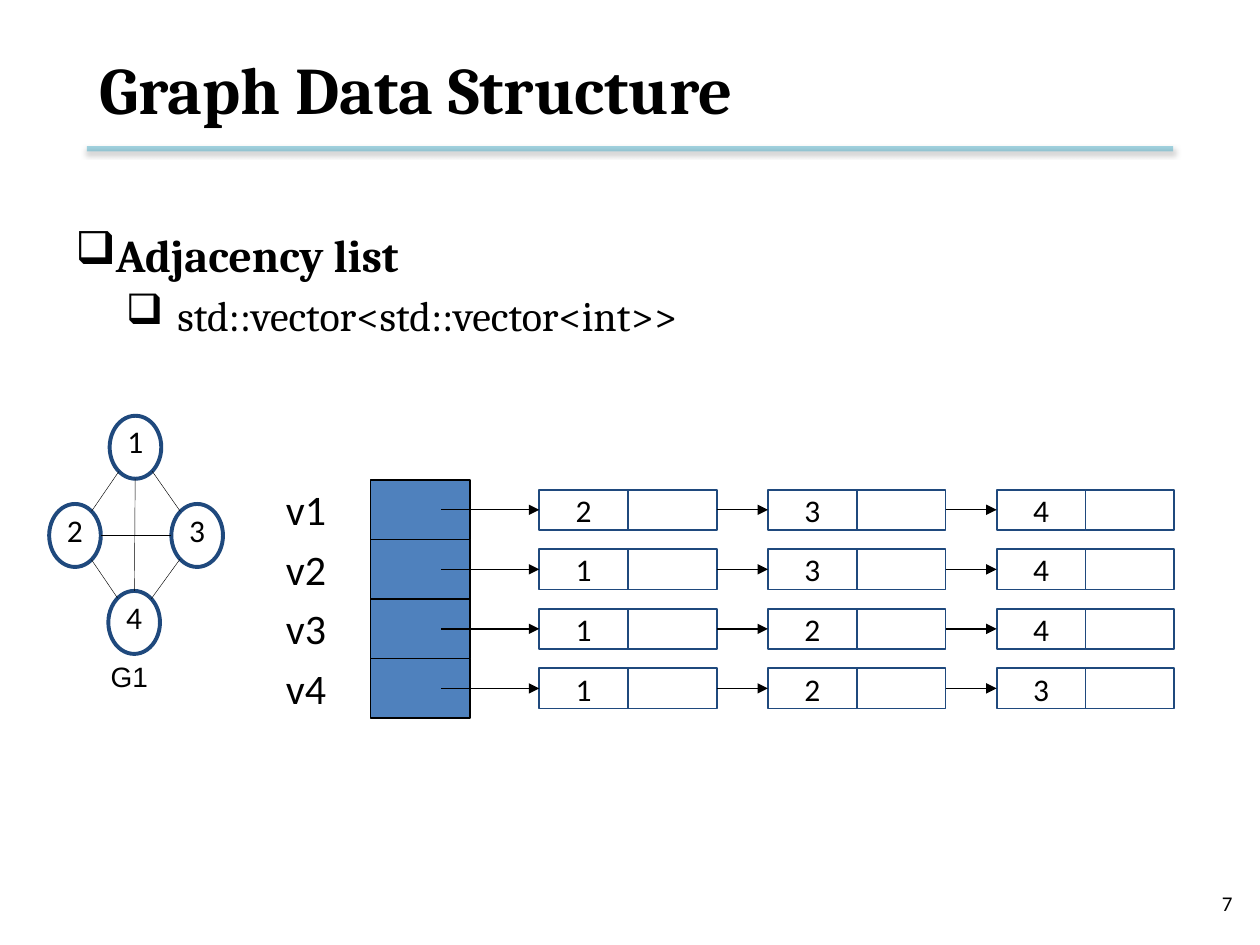
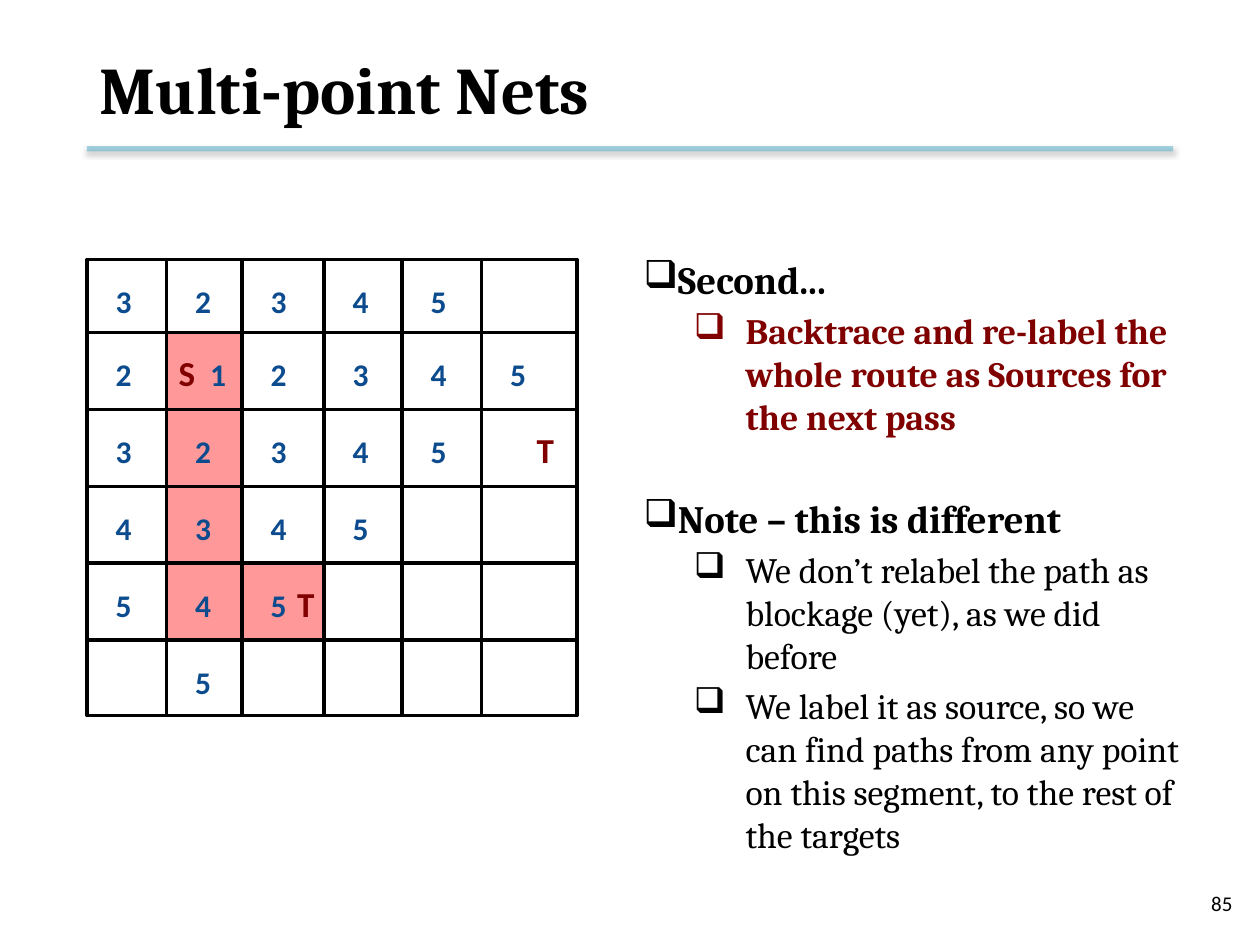
from dataclasses import dataclass
from itertools import combinations
from math import hypot

from lxml import etree
from pptx import Presentation
from pptx import util as u
from pptx.dml import color as dml
from pptx.enum import shapes, text
from pptx.oxml import ns

BLACK, NAVY, SLOT_BLUE = "000000", "1F497D", "4F81BD"
RULE_TEAL, MAROON, ROUTE_PINK, STEP_BLUE = "4BACC6", "800000", "FF9999", "0B4B8E"
HEADING, LABEL = "Cambria", "Calibri"
TOP, MIDDLE = text.MSO_ANCHOR.TOP, text.MSO_ANCHOR.MIDDLE
LEFT, CENTER, RIGHT = text.PP_ALIGN.LEFT, text.PP_ALIGN.CENTER, text.PP_ALIGN.RIGHT
RECT, OVAL = shapes.MSO_SHAPE.RECTANGLE, shapes.MSO_SHAPE.OVAL


@dataclass
class Box:
    """An area on the slide grid of 10 columns by 7.5 rows, one inch each."""
    x: float
    y: float
    w: float
    h: float

    def at(self, x, y, w, h):
        """Return the area that lies at an offset inside this one."""
        return Box(self.x + x, self.y + y, w, h)

    def emu(self):
        """Return left, top, width and height as lengths."""
        return [u.Inches(side) for side in (self.x, self.y, self.w, self.h)]

    def centre(self):
        """Return the middle point."""
        return self.x + self.w / 2, self.y + self.h / 2


PAGE = Box(0, 0, 10, 7.5)


def rgb(value):
    """Turn a hex string into a colour."""
    return dml.RGBColor.from_string(value)


def apply(target, formats):
    """Set each attribute named in a dict of format values."""
    for name, value in formats.items():
        setattr(target, name, value)


def add_node(parent, tag, **attributes):
    """Append a DrawingML element."""
    return etree.SubElement(parent, ns.qn(tag), attributes)


def write(paragraph, words, size, font=LABEL, color=BLACK, bold=False, align=LEFT):
    """Put one formatted run in a paragraph."""
    paragraph.alignment = align
    run = paragraph.add_run()
    run.text = words
    apply(run.font, {"size": u.Pt(size), "name": font, "bold": bold})
    run.font.color.rgb = rgb(color)


def add_label(slide, box, words, size, anchor=TOP, wrap=False, **style):
    """Add a one-line text box."""
    frame = slide.shapes.add_textbox(*box.emu()).text_frame
    apply(frame, {"word_wrap": wrap, "vertical_anchor": anchor})
    write(frame.paragraphs[0], words, size, **style)


def add_block(slide, kind, box, fill=None, line=None, width=1):
    """Add a flat preset shape and return it."""
    block = slide.shapes.add_shape(kind, *box.emu())
    block.shadow.inherit = False
    if fill:
        block.fill.solid()
        block.fill.fore_color.rgb = rgb(fill)
    else:
        block.fill.background()
    if line:
        block.line.color.rgb = rgb(line)
        block.line.width = u.Pt(width)
    else:
        block.line.fill.background()
    return block


def add_line(slide, start, end, width, color=BLACK, arrow=False):
    """Add a straight line and return it with its effect list."""
    ends = [u.Inches(value) for value in (*start, *end)]
    line = slide.shapes.add_connector(shapes.MSO_CONNECTOR.STRAIGHT, *ends)
    line.line.color.rgb = rgb(color)
    line.line.width = u.Pt(width)
    if arrow:
        add_node(line.line._get_or_add_ln(), "a:tailEnd", type="triangle")
    return line, add_node(line._element.spPr, "a:effectLst")


def add_header_rule(slide, box):
    """Draw the translucent rule with its soft shadow."""
    rule, effects = add_line(slide, (box.x, box.y), (box.x + box.w, box.y), 3, RULE_TEAL)
    tint = next(rule._element.spPr.iter(ns.qn("a:srgbClr")))
    add_node(tint, "a:alpha", val="50000")
    shadow = add_node(effects, "a:outerShdw", blurRad="40000", dist="20000",
                      dir="5400000", rotWithShape="0")
    add_node(add_node(shadow, "a:srgbClr", val=BLACK), "a:alpha", val="38000")


def add_page(deck, heading, number):
    """Start a slide with title, rule and page number."""
    slide = deck.slides.add_slide(deck.slide_layouts[5])
    add_header_rule(slide, PAGE.at(0.69, 1.18, 8.62, 0))
    title = slide.shapes.title
    apply(title, dict(zip(("left", "top", "width", "height"),
                          PAGE.at(0.69, 0.17, 8.62, 1.06).emu())))
    apply(title.text_frame, {"vertical_anchor": MIDDLE, "word_wrap": True,
                             "auto_size": text.MSO_AUTO_SIZE.NONE})
    write(title.text_frame.paragraphs[0], heading, 38, HEADING, bold=True)
    add_label(slide, PAGE.at(7.55, 6.97, 2.33, 0.4), str(number), 12, MIDDLE, True, align=RIGHT)
    return slide


def add_outline(slide, box, sizes, items, section_gap=0):
    """Write two-level bullets from (level, words, style) items."""
    frame = slide.shapes.add_textbox(*box.emu()).text_frame
    frame.word_wrap = True
    indents = ((0.25, -0.45), (0.81, -0.41))
    for index, (level, words, style) in enumerate(items):
        paragraph = frame.add_paragraph() if index else frame.paragraphs[0]
        paragraph.level = level
        properties = paragraph._p.get_or_add_pPr()
        for name, inches in zip(("marL", "indent"), indents[level]):
            properties.set(name, str(u.Inches(inches)))
        add_node(properties, "a:buChar", char="❑")
        gap = 0.2 * sizes[level] + (0 if level else section_gap)
        paragraph.space_before = u.Pt(gap if index else 0)
        write(paragraph, words, sizes[level], HEADING, **style)


def rim_point(node, target):
    """Find where an oval's outline faces another oval's centre."""
    (x, y), (goal_x, goal_y) = node.centre(), target.centre()
    dx, dy = goal_x - x, goal_y - y
    reach = hypot(dx / (node.w / 2), dy / (node.h / 2))
    return x + dx / reach, y + dy / reach


def add_graph(slide, box):
    """Draw the complete graph on four vertices with its caption."""
    offsets = ((0.48, 0), (0, 0.7), (0.97, 0.7), (0.47, 1.39))
    vertices = [box.at(*offset, 0.41, 0.5) for offset in offsets]
    for number, vertex in enumerate(vertices, 1):
        frame = add_block(slide, OVAL, vertex, line=NAVY, width=2.25).text_frame
        apply(frame, {"vertical_anchor": TOP, "word_wrap": True, "margin_left": 0,
                      "margin_right": 0, "margin_top": 0, "margin_bottom": 0})
        frame.paragraphs[0].line_spacing = 0.96
        write(frame.paragraphs[0], str(number), 18, align=CENTER)
    for one, other in combinations(vertices, 2):
        add_line(slide, rim_point(one, other), rim_point(other, one), 0.25)
    add_label(slide, box.at(0.39, 1.88, 0.56, 0.37), "G1", 16, MIDDLE, font="Arial")


def add_adjacency(slide, box, neighbours):
    """Draw one slot and one chain of list nodes for each vertex."""
    pitch, field, height, step = box.h / len(neighbours), 0.705, 0.32, 1.815
    for row, chain in enumerate(neighbours):
        top = row * pitch
        add_label(slide, box.at(0, top - 0.02, 0.52, 0.51), f"v{row + 1}", 24)
        add_block(slide, RECT, box.at(0.77, top, 0.79, pitch), SLOT_BLUE, BLACK, 0.75)
        middle = box.y + top + pitch / 2
        tail = box.x + 1.33
        for place, neighbour in enumerate(chain):
            node = box.at(2.11 + place * step, top + (pitch - height) / 2, field, height)
            value = add_block(slide, RECT, node, line=NAVY).text_frame
            apply(value, {"vertical_anchor": MIDDLE, "word_wrap": False})
            write(value.paragraphs[0], str(neighbour), 18, align=CENTER)
            add_block(slide, RECT, node.at(field, 0, field, height), line=NAVY)
            add_line(slide, (tail, middle), (node.x, middle), 0.75, arrow=True)
            tail = node.x + 2 * field


def add_maze(slide, box, steps, route, terminals):
    """Draw the routing grid with its route, step counts and terminals."""
    columns = (0, 0.63, 1.23, 1.88, 2.5, 3.13, box.w)
    rows = (0, *(0.58 + 0.61 * line for line in range(5)), box.h)

    def cell(row, column):
        """Return the area of one grid cell."""
        return box.at(columns[column], rows[row], columns[column + 1] - columns[column],
                      rows[row + 1] - rows[row])

    for place in route:
        add_block(slide, RECT, cell(*place), ROUTE_PINK)
    add_block(slide, RECT, box, line=BLACK, width=2)
    for y in rows[1:-1]:
        add_line(slide, (box.x, box.y + y), (box.x + box.w, box.y + y), 2)
    for x in columns[1:-1]:
        add_line(slide, (box.x + x, box.y), (box.x + x, box.y + box.h), 2)
    for row, counts in enumerate(steps):
        for column, count in enumerate(counts):
            if count != " ":
                shift = 0.25 if count == "1" else 0.13
                add_label(slide, cell(row, column).at(shift, 0.13, 0.34, 0.4), count, 18,
                          color=STEP_BLUE, bold=True)
    for letter, place in terminals:
        shift = 0 if letter == "S" else 0.34
        add_label(slide, cell(*place).at(shift, 0.1, 0.38, 0.43), letter, 20,
                  color=MAROON, bold=True)


def build_graph_slide(deck):
    """Build the adjacency list slide."""
    slide = add_page(deck, "Graph Data Structure", 7)
    add_outline(slide, PAGE.at(0.5, 1.75, 9, 1.2), (26, 24), (
        (0, "Adjacency list", {"bold": True}),
        (1, "std::vector<std::vector<int>>", {}),
    ))
    add_graph(slide, PAGE.at(0.39, 3.3, 1.38, 2.25))
    add_adjacency(slide, PAGE.at(2.17, 3.81, 7.15, 1.89),
                  ((2, 3, 4), (1, 3, 4), (1, 2, 4), (1, 2, 3)))


def build_nets_slide(deck):
    """Build the multi-point routing slide."""
    slide = add_page(deck, "Multi-point Nets", 85)
    add_maze(slide, PAGE.at(0.69, 2.06, 3.89, 3.62),
             steps=("32345", "212345", "32345", "4345", "545", " 5"),
             route=((1, 1), (2, 1), (3, 1), (4, 1), (4, 2)),
             terminals=(("S", (1, 1)), ("T", (4, 2)), ("T", (2, 5))))
    add_outline(slide, PAGE.at(5.01, 1.98, 4.47, 4.24), (22.1, 20.4), (
        (0, "Second...", {"bold": True}),
        (1, "Backtrace and re-label the whole route as Sources for the next pass",
         {"bold": True, "color": MAROON}),
        (0, "Note – this is different", {"bold": True}),
        (1, "We don’t relabel the path as blockage (yet), as we did before", {}),
        (1, "We label it as source, so we can find paths from any point on this segment, "
            "to the rest of the targets", {}),
    ), section_gap=28)


def main():
    """Build and save the deck."""
    deck = Presentation()
    deck.slide_width, deck.slide_height = u.Inches(PAGE.w), u.Inches(PAGE.h)
    build_graph_slide(deck)
    build_nets_slide(deck)
    deck.save("out.pptx")


if __name__ == "__main__":
    main()
